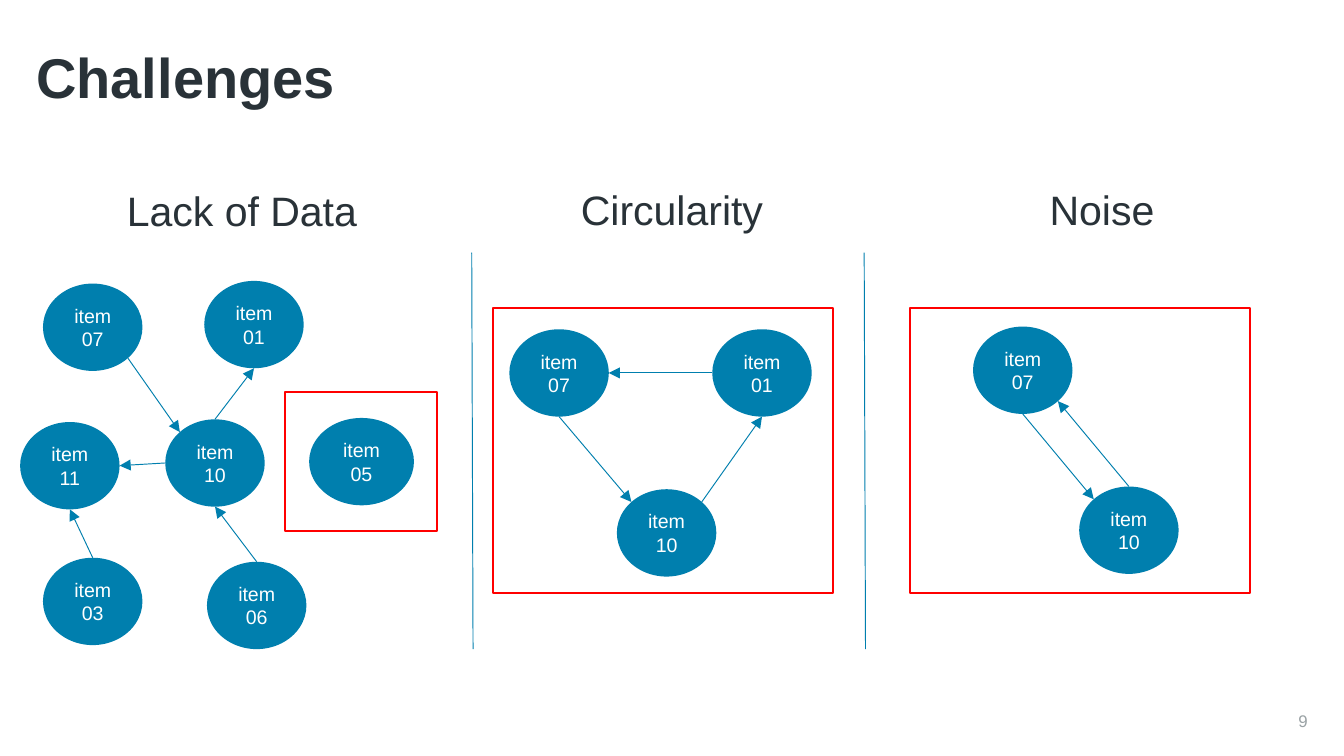
from dataclasses import dataclass
from enum import Enum
from math import cos, radians, sin

from lxml.etree import SubElement
from pptx import Presentation
from pptx.dml.color import RGBColor
from pptx.enum.shapes import MSO_CONNECTOR, MSO_SHAPE
from pptx.enum.text import MSO_ANCHOR, PP_ALIGN
from pptx.oxml.ns import qn
from pptx.util import Inches, Pt

FONT = "Arial"
BLUE, RED, INK, GRAY, WHITE = "007FAE", "FF0000", "293238", "9AA2A5", "FFFFFF"
SLIDE_WIDTH = 10
SLIDE_HEIGHT = SLIDE_WIDTH * 9 / 16
ITEM_HEIGHT = 0.65


class Side(Enum):
    RIGHT = 0
    BOTTOM_RIGHT = 45
    BOTTOM = 90
    LEFT = 180
    TOP_LEFT = 225
    TOP = 270
    TOP_RIGHT = 315


@dataclass(frozen=True)
class Item:
    number: str
    left: float
    top: float
    width: float = 0.74

    def point(self, side: Side) -> tuple[float, float]:
        angle = radians(side.value)
        return (self.left + self.width / 2 * (1 + cos(angle)),
                self.top + ITEM_HEIGHT / 2 * (1 + sin(angle)))


@dataclass(frozen=True)
class Link:
    source: str
    source_side: Side
    target: str
    target_side: Side


@dataclass(frozen=True)
class Challenge:
    heading: str
    heading_left: float
    heading_top: float
    items: list[Item]
    links: list[Link]
    highlight: tuple[float, float, float, float]


CHALLENGES = [
    Challenge(
        "Lack of Data", 0.52, 1.38,
        [Item("07", 0.32, 2.11), Item("10", 1.23, 3.12), Item("03", 0.32, 4.15),
         Item("11", 0.15, 3.14), Item("01", 1.52, 2.09), Item("06", 1.54, 4.18),
         Item("05", 2.3, 3.11, 0.78)],
        [Link("07", Side.BOTTOM_RIGHT, "10", Side.TOP_LEFT),
         Link("10", Side.LEFT, "11", Side.RIGHT),
         Link("03", Side.TOP, "11", Side.BOTTOM),
         Link("10", Side.TOP, "01", Side.BOTTOM),
         Link("06", Side.TOP, "10", Side.BOTTOM)],
        (2.12, 2.92, 1.13, 1.03)),
    Challenge(
        "Circularity", 3.72, 1.37,
        [Item("07", 3.79, 2.45), Item("10", 4.59, 3.64), Item("01", 5.3, 2.45)],
        [Link("07", Side.BOTTOM, "10", Side.TOP_LEFT),
         Link("10", Side.TOP_RIGHT, "01", Side.BOTTOM),
         Link("01", Side.LEFT, "07", Side.RIGHT)],
        (3.67, 2.29, 2.53, 2.12)),
    Challenge(
        "Noise", 6.92, 1.37,
        [Item("07", 7.24, 2.43), Item("10", 8.03, 3.62)],
        [Link("07", Side.BOTTOM, "10", Side.TOP_LEFT),
         Link("10", Side.TOP, "07", Side.BOTTOM_RIGHT)],
        (6.77, 2.29, 2.53, 2.12)),
]


def color(value: str) -> RGBColor:
    return RGBColor.from_string(value)


def write(frame, text: str, size: float, ink: str, align: PP_ALIGN,
          bold: bool = False) -> None:
    frame.word_wrap = True
    paragraph = frame.paragraphs[0]
    paragraph.text = text
    paragraph.alignment = align
    paragraph.font.name = FONT
    paragraph.font.size = Pt(size)
    paragraph.font.bold = bold
    paragraph.font.color.rgb = color(ink)


def add_label(slide, text: str, box: tuple[float, float, float, float],
              size: float, ink: str, align: PP_ALIGN, bold: bool = False,
              anchor: MSO_ANCHOR = MSO_ANCHOR.TOP, inset_top: float = 0) -> None:
    frame = slide.shapes.add_textbox(*map(Inches, box)).text_frame
    frame.margin_left = frame.margin_right = frame.margin_bottom = 0
    frame.margin_top = Inches(inset_top)
    frame.vertical_anchor = anchor
    write(frame, text, size, ink, align, bold)


def add_item(slide, item: Item) -> None:
    ellipse = slide.shapes.add_shape(
        MSO_SHAPE.OVAL, Inches(item.left), Inches(item.top),
        Inches(item.width), Inches(ITEM_HEIGHT))
    ellipse.shadow.inherit = False
    ellipse.fill.solid()
    ellipse.fill.fore_color.rgb = color(BLUE)
    ellipse.line.fill.background()
    ellipse.text_frame.vertical_anchor = MSO_ANCHOR.MIDDLE
    write(ellipse.text_frame, f"item {item.number}", 10.5, WHITE, PP_ALIGN.CENTER)


def add_line(slide, start: tuple[float, float], end: tuple[float, float],
             arrow: bool = False) -> None:
    line = slide.shapes.add_connector(
        MSO_CONNECTOR.STRAIGHT, *map(Inches, (*start, *end)))
    line.line.color.rgb = color(BLUE)
    line.line.width = Pt(0.5)
    if arrow:
        outline = line._element.spPr.find(qn("a:ln"))
        SubElement(outline, qn("a:tailEnd"), type="triangle")
    SubElement(line._element.spPr, qn("a:effectLst"))


def add_highlight(slide, box: tuple[float, float, float, float]) -> None:
    frame = slide.shapes.add_shape(MSO_SHAPE.RECTANGLE, *map(Inches, box))
    frame.shadow.inherit = False
    frame.fill.background()
    frame.line.color.rgb = color(RED)
    frame.line.width = Pt(1)


def add_challenge(slide, challenge: Challenge) -> None:
    add_label(slide, challenge.heading,
              (challenge.heading_left, challenge.heading_top, 2.56, 0.42),
              22, INK, PP_ALIGN.CENTER)
    for item in challenge.items:
        add_item(slide, item)
    items = {item.number: item for item in challenge.items}
    for link in challenge.links:
        add_line(slide, items[link.source].point(link.source_side),
                 items[link.target].point(link.target_side), arrow=True)
    add_highlight(slide, challenge.highlight)


def main() -> None:
    presentation = Presentation()
    presentation.slide_width = Inches(SLIDE_WIDTH)
    presentation.slide_height = Inches(SLIDE_HEIGHT)
    slide = presentation.slides.add_slide(presentation.slide_layouts[6])
    add_label(slide, "Challenges", (0.27, 0.24, 9.45, 1.26), 30, INK,
              PP_ALIGN.LEFT, bold=True, inset_top=0.08)
    add_label(slide, "9", (8.23, 5.28, 1.5, 0.16), 9, GRAY,
              PP_ALIGN.RIGHT, anchor=MSO_ANCHOR.BOTTOM)
    for challenge in CHALLENGES:
        add_challenge(slide, challenge)
    for divider in (3.51, 6.43):
        add_line(slide, (divider, 1.88), (divider + 0.01, 4.83))
    presentation.save("out.pptx")


if __name__ == "__main__":
    main()
